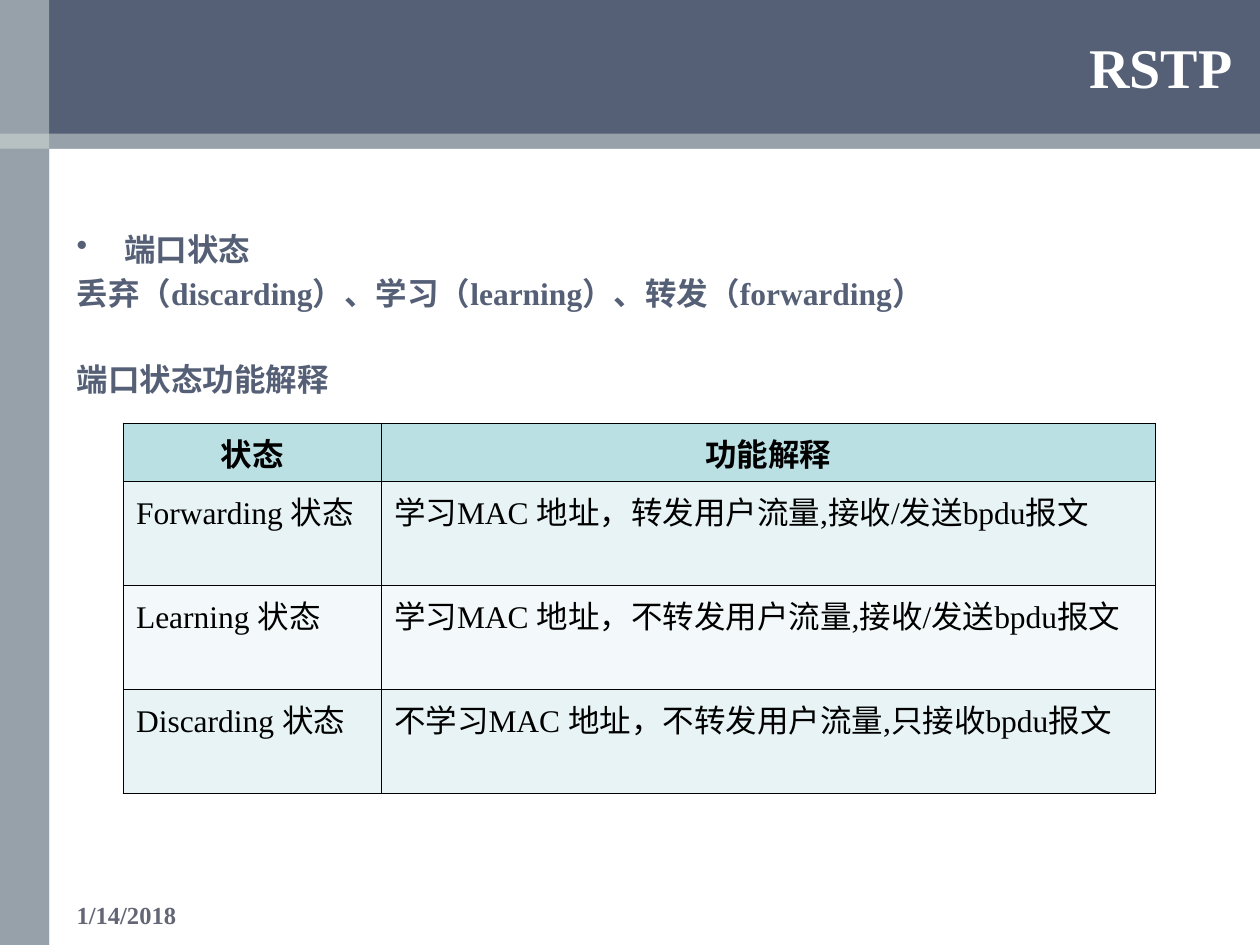
from lxml.etree import SubElement
from pptx import Presentation
from pptx.dml.color import RGBColor
from pptx.enum.shapes import MSO_SHAPE
from pptx.enum.text import MSO_ANCHOR, PP_ALIGN
from pptx.oxml.ns import qn
from pptx.util import Inches, Pt

FONT = "Times New Roman"
SLATE = "556076"
HEADER_FILL = "BBE0E3"
HEADER_HEIGHT = 0.46
BAND_FILLS = ["E7F3F4", "F3F9FA"]
ROWS = [
    ("状态", "功能解释"),
    ("Forwarding 状态", "学习MAC 地址，转发用户流量,接收/发送bpdu报文"),
    ("Learning 状态", "学习MAC 地址，不转发用户流量,接收/发送bpdu报文"),
    ("Discarding 状态", "不学习MAC 地址，不转发用户流量,只接收bpdu报文"),
]


def color(value):
    return RGBColor.from_string(value)


def style(para, size, value, bold=True, align=PP_ALIGN.LEFT):
    para.font.name = FONT
    para.font.size = Pt(size)
    para.font.bold = bold
    para.font.color.rgb = color(value)
    para.alignment = align


def add_band(page, left, top, width, height, value, alpha=None):
    band = page.shapes.add_shape(
        MSO_SHAPE.RECTANGLE, Inches(left), Inches(top), Inches(width), Inches(height))
    band.shadow.inherit = False
    band.fill.solid()
    band.fill.fore_color.rgb = color(value)
    band.line.fill.background()
    if alpha:
        fill = band._element.spPr.find(qn("a:solidFill"))
        SubElement(fill[0], qn("a:alpha"), val=str(alpha * 1000))


def add_frame(page, left, top, width, height):
    for band_height, band_width in ((1.18, width), (height, 0.39)):
        add_band(page, left, top, band_width, band_height, SLATE)
    add_band(page, left, top, 0.39, height, "DAE2DC", 50)
    add_band(page, left, top + 1.06, width, 0.12, "DAE2DC", 50)


def add_text(page, left, top, width, height, lines, size, value,
             align=PP_ALIGN.LEFT, anchor=MSO_ANCHOR.MIDDLE):
    box = page.shapes.add_textbox(
        Inches(left), Inches(top), Inches(width), Inches(height))
    frame = box.text_frame
    frame.word_wrap = True
    frame.vertical_anchor = anchor
    frame.text = "\n".join(lines)
    for para in frame.paragraphs:
        style(para, size, value, align=align)
    return frame.paragraphs


def add_body(page, left, top, width, height):
    lines = ["端口状态",
             "丢弃（discarding）、学习（learning）、转发（forwarding）",
             "端口状态功能解释"]
    paras = add_text(page, left, top, width, height, lines, 18, SLATE,
                     anchor=MSO_ANCHOR.TOP)
    for para in paras:
        para.space_after = Pt(3)
    paras[-1].space_before = Pt(25)
    properties = paras[0]._p.get_or_add_pPr()
    properties.set("marL", str(Inches(0.38)))
    properties.set("indent", str(-Inches(0.38)))
    SubElement(properties, qn("a:buChar"), char="•")


def add_borders(cell):
    properties = cell._tc.get_or_add_tcPr()
    for position, side in enumerate(("lnL", "lnR", "lnT", "lnB")):
        line = SubElement(properties, qn(f"a:{side}"), w=str(Pt(1)))
        fill = SubElement(line, qn("a:solidFill"))
        SubElement(fill, qn("a:srgbClr"), val="000000")
        properties.insert(position, line)


def add_state_table(page, left, top, width, height):
    table = page.shapes.add_table(
        len(ROWS), 2, Inches(left), Inches(top), Inches(width), Inches(height)).table
    table.columns[0].width = Inches(width / 4)
    table.columns[1].width = Inches(width * 3 / 4)
    state_height = (height - HEADER_HEIGHT) / (len(ROWS) - 1)
    for row, texts in enumerate(ROWS):
        header = row == 0
        table.rows[row].height = Inches(HEADER_HEIGHT if header else state_height)
        for column, text in enumerate(texts):
            cell = table.cell(row, column)
            cell.text = text
            cell.fill.solid()
            cell.fill.fore_color.rgb = color(
                HEADER_FILL if header else BAND_FILLS[(row - 1) % 2])
            style(cell.text_frame.paragraphs[0], 18, "000000", header,
                  PP_ALIGN.CENTER if header else PP_ALIGN.LEFT)
            add_borders(cell)


def main():
    deck = Presentation()
    deck.slide_width, deck.slide_height = Inches(10), Inches(7.5)
    page = deck.slides.add_slide(deck.slide_layouts[6])
    add_frame(page, 0, 0, 10, 7.5)
    add_text(page, 2.16, 0.13, 7.72, 0.79, ["RSTP"], 32, "FFFFFF", PP_ALIGN.RIGHT)
    add_body(page, 0.51, 1.78, 9.37, 5.28)
    add_text(page, 0.51, 7.14, 1.57, 0.24, ["1/14/2018"], 14, "626675")
    add_state_table(page, 0.98, 3.36, 8.19, 2.94)
    deck.save("out.pptx")


if __name__ == "__main__":
    main()
